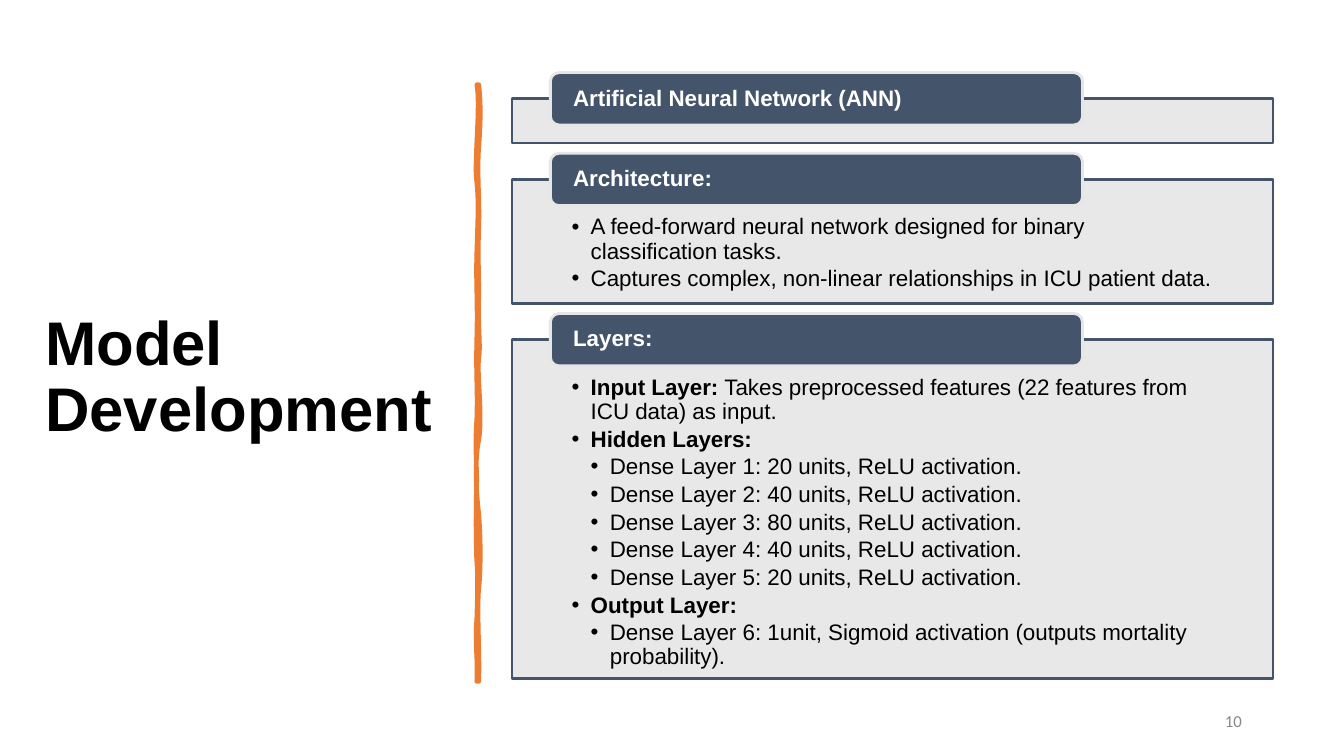
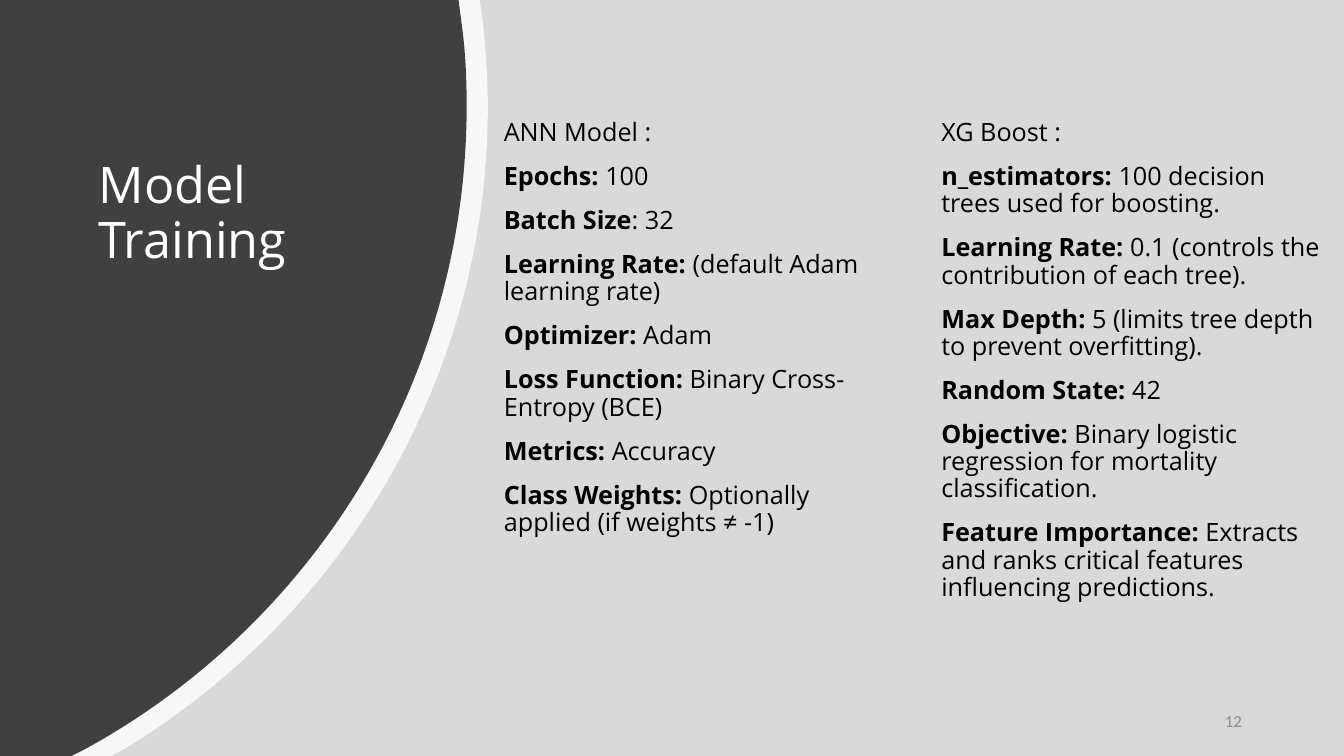
from lxml import etree
from pptx import Presentation
from pptx.dml.color import RGBColor
from pptx.enum.shapes import MSO_SHAPE
from pptx.enum.text import MSO_ANCHOR, PP_ALIGN
from pptx.oxml.ns import qn
from pptx.util import Inches, Pt

RECT, ROUND_RECT = MSO_SHAPE.RECTANGLE, MSO_SHAPE.ROUNDED_RECTANGLE
TOP, MIDDLE = MSO_ANCHOR.TOP, MSO_ANCHOR.MIDDLE
LEFT, RIGHT = PP_ALIGN.LEFT, PP_ALIGN.RIGHT

SLIDE_WIDTH, SLIDE_HEIGHT = 40 / 3, 7.5
COLORS = {
    "white": "FFFFFF", "black": "000000", "slate": "44546A", "pale": "E7E6E6",
    "orange": "ED7D31", "backdrop": "D9D9D9", "charcoal": "404040", "number": "888888",
}
STYLES = {
    "heading": {"size": Pt(44), "name": "Arial", "bold": True, "color": "black"},
    "light_heading": {"size": Pt(36), "name": "Open Sans", "color": "white"},
    "label": {"size": Pt(16), "name": "Arial", "bold": True, "color": "white"},
    "bullet": {"size": Pt(16), "name": "Arial", "color": "black"},
    "body": {"size": Pt(18), "name": "Open Sans", "color": "black"},
    "number": {"size": Pt(12), "name": "Calibri", "color": "number"},
}
INSETS = (0.1, 0.05, 0.1, 0.05)
BULLET_STEP = 0.19

# Each paragraph is (level, bold lead, plain text).
SECTIONS = [
    ("Artificial Neural Network (ANN)", 0.44, []),
    ("Architecture:", 1.23, [
        (1, "", "A feed-forward neural network designed for binary classification tasks."),
        (1, "", "Captures complex, non-linear relationships in ICU patient data."),
    ]),
    ("Layers:", 3.36, [
        (1, "Input Layer:", " Takes preprocessed features (22 features from ICU data) as input."),
        (1, "Hidden Layers:", ""),
        *[(2, "", f"Dense Layer {i}: {units} units, ReLU activation.")
          for i, units in enumerate((20, 40, 80, 40, 20), 1)],
        (1, "Output Layer:", ""),
        (2, "", "Dense Layer 6: 1unit, Sigmoid activation (outputs mortality probability)."),
    ]),
]
ANN_SETTINGS = [
    (0, "", "ANN Model :"),
    (0, "Epochs: ", "100"),
    (0, "Batch Size", ": 32"),
    (0, "Learning Rate: ", "(default Adam learning rate)"),
    (0, "Optimizer: ", "Adam"),
    (0, "Loss Function: ", "Binary Cross-Entropy (BCE)"),
    (0, "Metrics: ", "Accuracy"),
    (0, "Class Weights:", " Optionally applied (if weights ≠ -1)"),
]
BOOST_SETTINGS = [
    (0, "", "XG Boost :"),
    (0, "n_estimators: ", "100 decision trees used for boosting."),
    (0, "Learning Rate: ", "0.1 (controls the contribution of each tree)."),
    (0, "Max Depth: ", "5 (limits tree depth to prevent overfitting)."),
    (0, "Random State: ", "42"),
    (0, "Objective: ", "Binary logistic regression for mortality classification."),
    (0, "Feature Importance:", " Extracts and ranks critical features influencing predictions."),
]

# Outlines: a start point, then lines (2 numbers) and cubic curves (6 numbers).
BRUSH = [
    (4.75, 0.84),
    (4.77, 1.02, 4.77, 1.19, 4.75, 1.46), (4.73, 1.73, 4.76, 1.95, 4.75, 2.26),
    (4.74, 2.57, 4.75, 2.62, 4.75, 2.94), (4.74, 3.25, 4.77, 3.42, 4.75, 3.56),
    (4.73, 3.7, 4.79, 4.14, 4.75, 4.36), (4.71, 4.57, 4.72, 4.84, 4.75, 5.1),
    (4.77, 5.36, 4.77, 5.64, 4.75, 5.84), (4.73, 6.03, 4.76, 6.5, 4.75, 6.76),
    (4.73, 6.76),
    (4.74, 6.46, 4.71, 6.44, 4.73, 6.13), (4.74, 5.83, 4.74, 5.7, 4.73, 5.57),
    (4.72, 5.44, 4.72, 4.95, 4.73, 4.77), (4.73, 4.59, 4.71, 4.45, 4.73, 4.15),
    (4.74, 3.86, 4.72, 3.73, 4.73, 3.35), (4.74, 2.98, 4.72, 2.81, 4.73, 2.5),
    (4.74, 2.18, 4.75, 2, 4.73, 1.81), (4.7, 1.63, 4.77, 1.04, 4.73, 0.84),
]
OUTER_ARC = [
    (0, 0), (4.76, 0), (4.8, 0.29), (4.82, 0.54, 4.84, 0.8, 4.84, 1.05),
    (4.84, 3.75, 3.4, 6.11, 1.25, 7.42), (1.11, 7.5), (0, 7.5),
]
INNER_ARC = [
    (0, 0), (4.55, 0), (4.59, 0.31), (4.62, 0.55, 4.63, 0.8, 4.63, 1.05),
    (4.63, 3.81, 3.09, 6.21, 0.83, 7.44), (0.71, 7.5), (0, 7.5),
]


def rgb(name):
    return RGBColor.from_string(COLORS[name])


def paint(sp, fill, line=None, width=2, opacity=100):
    """Set fill, its opacity in percent, and outline; drop the shadow."""
    sp.shadow.inherit = False
    sp.fill.solid()
    sp.fill.fore_color.rgb = rgb(fill)
    if opacity < 100:
        clr = sp._element.spPr.find(qn("a:solidFill"))[0]
        etree.SubElement(clr, qn("a:alpha")).set("val", str(opacity * 1000))
    if line:
        sp.line.color.rgb = rgb(line)
        sp.line.width = Pt(width)
    else:
        sp.line.fill.background()


def add_box(slide, kind, box, fill, **look):
    sp = slide.shapes.add_shape(kind, *map(Inches, box))
    paint(sp, fill, **look)
    return sp


def bend(sp, segments):
    """Turn the straight sides that have control points into cubic curves."""
    sides = list(sp._element.iter(qn("a:lnTo")))
    for side, segment in zip(sides, segments):
        if len(segment) == 2:
            continue
        curve = etree.Element(qn("a:cubicBezTo"))
        for x, y in zip(segment[::2], segment[1::2]):
            pt = etree.SubElement(curve, qn("a:pt"))
            pt.set("x", str(Inches(x) - sp.left))
            pt.set("y", str(Inches(y) - sp.top))
        side.getparent().replace(side, curve)


def add_outline(slide, outline, fill, **look):
    corners = [tuple(map(Inches, segment[-2:])) for segment in outline]
    builder = slide.shapes.build_freeform(*corners[0], scale=1.0)
    builder.add_line_segments(corners[1:], close=True)
    sp = builder.convert_to_shape()
    bend(sp, outline[1:])
    paint(sp, fill, **look)


def add_bullet(p, level):
    pPr = p._p.get_or_add_pPr()
    pPr.set("marL", str(Inches(BULLET_STEP * level)))
    pPr.set("indent", str(-Inches(BULLET_STEP)))
    etree.SubElement(pPr, qn("a:buFont")).set("typeface", "Arial")
    etree.SubElement(pPr, qn("a:buChar")).set("char", "•")


def add_run(p, text, style, **extra):
    r = p.add_run()
    r.text = text
    for key, value in {**STYLES[style], **extra}.items():
        if key == "color":
            r.font.color.rgb = rgb(value)
        else:
            setattr(r.font, key, value)


def write(sp, paragraphs, style, insets=INSETS, anchor=TOP, **p_format):
    """Fill a shape with paragraphs of (level, bold lead, plain text)."""
    tf = sp.text_frame
    margins = zip(("margin_left", "margin_top", "margin_right", "margin_bottom"),
                  map(Inches, insets))
    for key, value in {"word_wrap": True, "vertical_anchor": anchor, **dict(margins)}.items():
        setattr(tf, key, value)
    for i, (level, lead, text) in enumerate(paragraphs):
        p = tf.add_paragraph() if i else tf.paragraphs[0]
        for key, value in {"alignment": LEFT, "line_spacing": 0.9, **p_format}.items():
            setattr(p, key, value)
        if level:
            add_bullet(p, level)
        if lead:
            add_run(p, lead, style, bold=True)
        if text:
            add_run(p, text, style)


def add_text(slide, box, paragraphs, style, **layout):
    write(slide.shapes.add_textbox(*map(Inches, box)), paragraphs, style, **layout)


def add_title(slide, box, text, style, anchor=TOP):
    add_text(slide, box, [(0, "", text)], style, anchor=anchor)


def add_page_number(slide, number):
    add_text(slide, (9.42, 6.95, 3, 0.4), [(0, "", str(number))], "number",
             anchor=MIDDLE, alignment=RIGHT, line_spacing=1.0)


def add_sections(slide, sections, left=5.08, top=0.72, width=7.55):
    """Stack framed boxes, each with a label tab over its top edge."""
    tab_height, gap = 0.52, 0.1
    for label, height, bullets in sections:
        box_top = top + tab_height / 2
        frame = add_box(slide, RECT, (left, box_top, width, height), "pale",
                        line="slate", opacity=90)
        write(frame, bullets, "bullet", insets=(0.59, 0.36, 0.59, 0.12),
              space_after=Pt(2.5))
        tab = add_box(slide, ROUND_RECT, (left + 0.38, top, 5.28, tab_height), "slate",
                      line="pale")
        write(tab, [(0, "", label)], "label", insets=(0.2, 0, 0.2, 0), anchor=MIDDLE)
        top = box_top + height + gap


def build_development(slide):
    add_title(slide, (0.35, 0.7, 4.08, 6.11), "Model Development", "heading", MIDDLE)
    add_outline(slide, BRUSH, "orange", line="orange", width=3.25)
    add_sections(slide, SECTIONS)
    add_page_number(slide, 10)


def build_training(slide):
    add_box(slide, RECT, (0, 0, SLIDE_WIDTH, SLIDE_HEIGHT), "backdrop")
    add_outline(slide, OUTER_ARC, "white", opacity=80)
    add_outline(slide, INNER_ARC, "charcoal")
    add_title(slide, (0.88, 1.54, 3.14, 2.36), "Model Training", "light_heading")
    for left, height, settings in ((4.9, 5.17, ANN_SETTINGS), (9.24, 5.79, BOOST_SETTINGS)):
        add_text(slide, (left, 1.14, 3.99, height), settings, "body", space_before=Pt(12))
    add_page_number(slide, 12)


def main():
    prs = Presentation()
    prs.slide_width, prs.slide_height = Inches(SLIDE_WIDTH), Inches(SLIDE_HEIGHT)
    for build in (build_development, build_training):
        build(prs.slides.add_slide(prs.slide_layouts[6]))
    prs.save("out.pptx")


if __name__ == "__main__":
    main()
